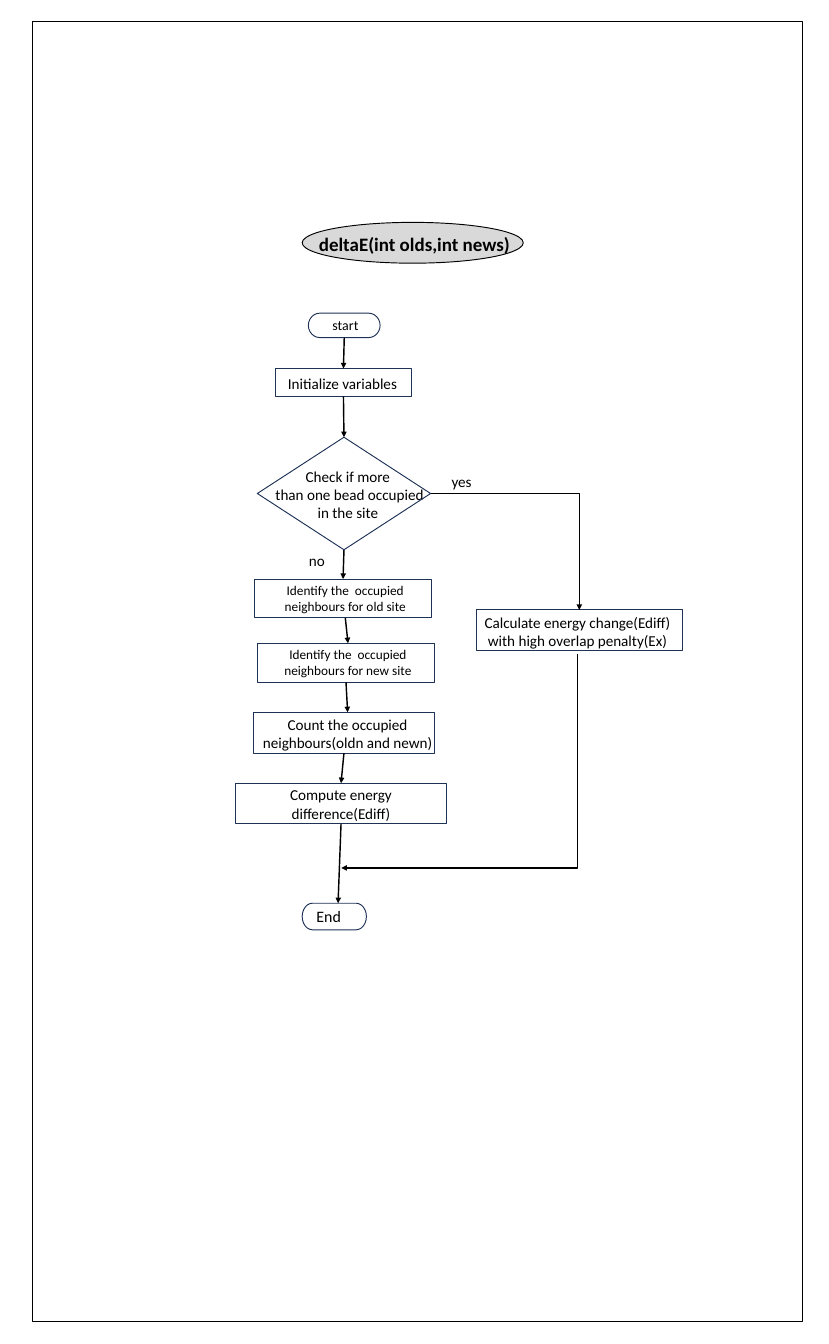
from lxml.etree import SubElement
from pptx import Presentation
from pptx.dml.color import RGBColor
from pptx.enum.shapes import MSO_CONNECTOR, MSO_SHAPE
from pptx.enum.text import MSO_AUTO_SIZE, PP_ALIGN
from pptx.oxml.ns import qn
from pptx.util import Cm, Pt

BLACK = "000000"
NAVY = "1E3256"
GREY = "D9D9D9"
TOP, BOTTOM, RIGHT = 0, 2, 3


def color(value):
    """Turn a hex string into a colour."""
    return RGBColor.from_string(value)


def add_outline(shapes, kind, frame, line=NAVY, fill=None):
    """Add a thin outlined shape, hollow unless a fill is given."""
    shape = shapes.add_shape(kind, *map(Cm, frame))
    shape.shadow.inherit = False
    shape.line.color.rgb = color(line)
    shape.line.width = Pt(1)
    if fill:
        shape.fill.solid()
        shape.fill.fore_color.rgb = color(fill)
    else:
        shape.fill.background()
    return shape


def add_text(shapes, text, frame, size=16, align=PP_ALIGN.CENTER, bold=False):
    """Add a wrapping text box with one paragraph per line of text."""
    box = shapes.add_textbox(*map(Cm, frame))
    box.text_frame.word_wrap = True
    box.text_frame.auto_size = MSO_AUTO_SIZE.SHAPE_TO_FIT_TEXT
    box.text_frame.text = text
    for para in box.text_frame.paragraphs:
        para.alignment = align
        para.font.name = "Calibri"
        para.font.size = Pt(size)
        para.font.bold = bold
        para.font.color.rgb = color(BLACK)
    return box


def add_step(page, kind, text, text_frame, frame, size=16, align=PP_ALIGN.CENTER):
    """Group a label with its outline and return both."""
    group = page.shapes.add_group_shape()
    label = add_text(group.shapes, text, text_frame, size, align)
    return label, add_outline(group.shapes, kind, frame)


def add_arrow(page, kind, start=(0, 0), end=(0, 0)):
    """Add a black arrow; an elbow has a single bend."""
    arrow = page.shapes.add_connector(kind, *map(Cm, start + end))
    arrow.line.color.rgb = color(BLACK)
    arrow.line.width = Pt(1.5)
    properties = arrow.element.spPr
    SubElement(properties.find(qn("a:ln")), qn("a:tailEnd"), type="triangle")
    SubElement(properties, qn("a:effectLst"))
    if kind == MSO_CONNECTOR.ELBOW:
        properties.find(qn("a:prstGeom")).set("prst", "bentConnector2")
    return arrow


def link(page, source, target, side=BOTTOM, kind=MSO_CONNECTOR.STRAIGHT):
    """Glue an arrow from one side of a shape to the top of another."""
    arrow = add_arrow(page, kind)
    arrow.begin_connect(source, side)
    arrow.end_connect(target, TOP)


def main():
    """Build the flowchart slide."""
    deck = Presentation()
    deck.slide_width, deck.slide_height = Cm(30.86), Cm(50.04)
    page = deck.slides.add_slide(deck.slide_layouts[6])
    box, terminator = MSO_SHAPE.RECTANGLE, MSO_SHAPE.FLOWCHART_TERMINATOR

    add_outline(page.shapes, MSO_SHAPE.OVAL, (11.25, 8.28, 8.23, 1.52), BLACK, GREY)
    add_text(page.shapes, "deltaE(int olds,int news)", (0, 8.53, 30.86, 1.12), 20, bold=True)

    _, start = add_step(page, terminator, "start",
                        (11.07, 11.66, 3.58, 0.89), (11.48, 11.66, 2.67, 0.91), 14.7)
    _, initialize = add_step(page, box, "Initialize variables",
                             (10.26, 13.82, 4.98, 0.94), (10.26, 13.72, 5.05, 1.04))
    _, check = add_step(page, MSO_SHAPE.DIAMOND,
                        "Check if more\n than one bead occupied in the site",
                        (9.65, 17.27, 6.6, 2.31), (9.58, 16.28, 6.45, 4.19))
    old_label, old_site = add_step(page, box, "Identify the  occupied neighbours for old site",
                                   (9.5, 21.56, 6.71, 1.45), (9.47, 21.56, 6.6, 1.45), 14)
    new_label, new_site = add_step(page, box, "Identify the  occupied neighbours for new site",
                                   (9.6, 23.95, 6.71, 1.45), (9.58, 23.95, 6.6, 1.45), 14)
    count_label, count = add_step(page, box, "Count the occupied neighbours(oldn and newn)",
                                  (9.42, 26.52, 7.04, 1.63), (9.45, 26.54, 6.71, 1.5))
    _, compute = add_step(page, box, "Compute energy difference(Ediff)",
                          (8.76, 29.13, 7.87, 1.7), (8.76, 29.16, 7.87, 1.52))
    end_label, _ = add_step(page, terminator, "End", (11.53, 33.63, 2.11, 0.97),
                            (11.25, 33.63, 2.39, 0.99), 16.8, PP_ALIGN.LEFT)
    _, penalty = add_step(page, box,
                          "Calculate energy change(Ediff) with high overlap penalty(Ex)",
                          (17.6, 22.71, 7.8, 1.63), (17.73, 22.71, 7.67, 1.52))

    for source, target in [(start, initialize), (initialize, check), (check, old_site),
                           (old_label, new_label), (new_site, count_label),
                           (count, compute), (compute, end_label)]:
        link(page, source, target)
    link(page, check, penalty, RIGHT, MSO_CONNECTOR.ELBOW)
    rejoin = add_arrow(page, MSO_CONNECTOR.ELBOW, (13.11, 23.93), (21.09, 32.72))
    rejoin.element.spPr.find(qn("a:xfrm")).set("rot", str(90 * 60000))

    add_text(page.shapes, "no", (11.25, 20.42, 1.35, 0.94), align=PP_ALIGN.LEFT)
    add_text(page.shapes, "yes", (16.56, 17.48, 1.42, 0.94), align=PP_ALIGN.LEFT)
    add_outline(page.shapes, box, (1.22, 0.81, 28.65, 48.39), BLACK)
    deck.save("out.pptx")


if __name__ == "__main__":
    main()
